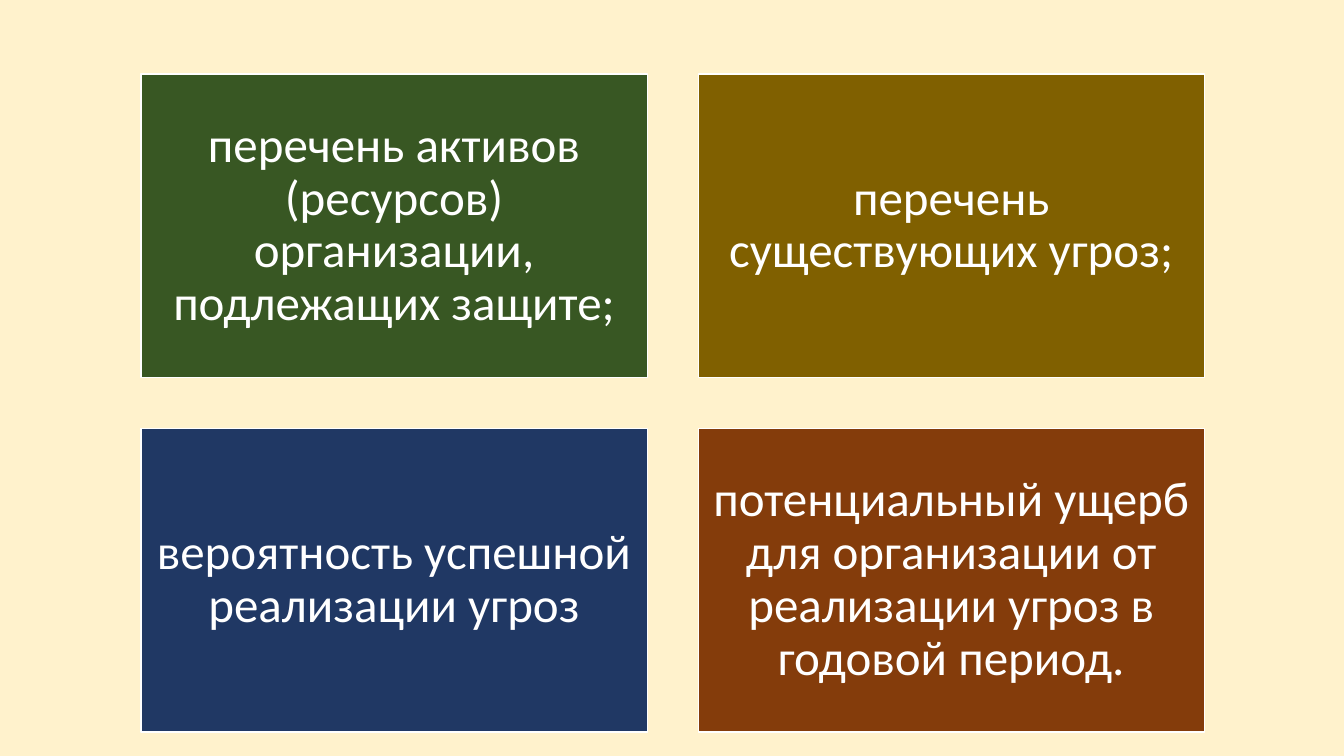
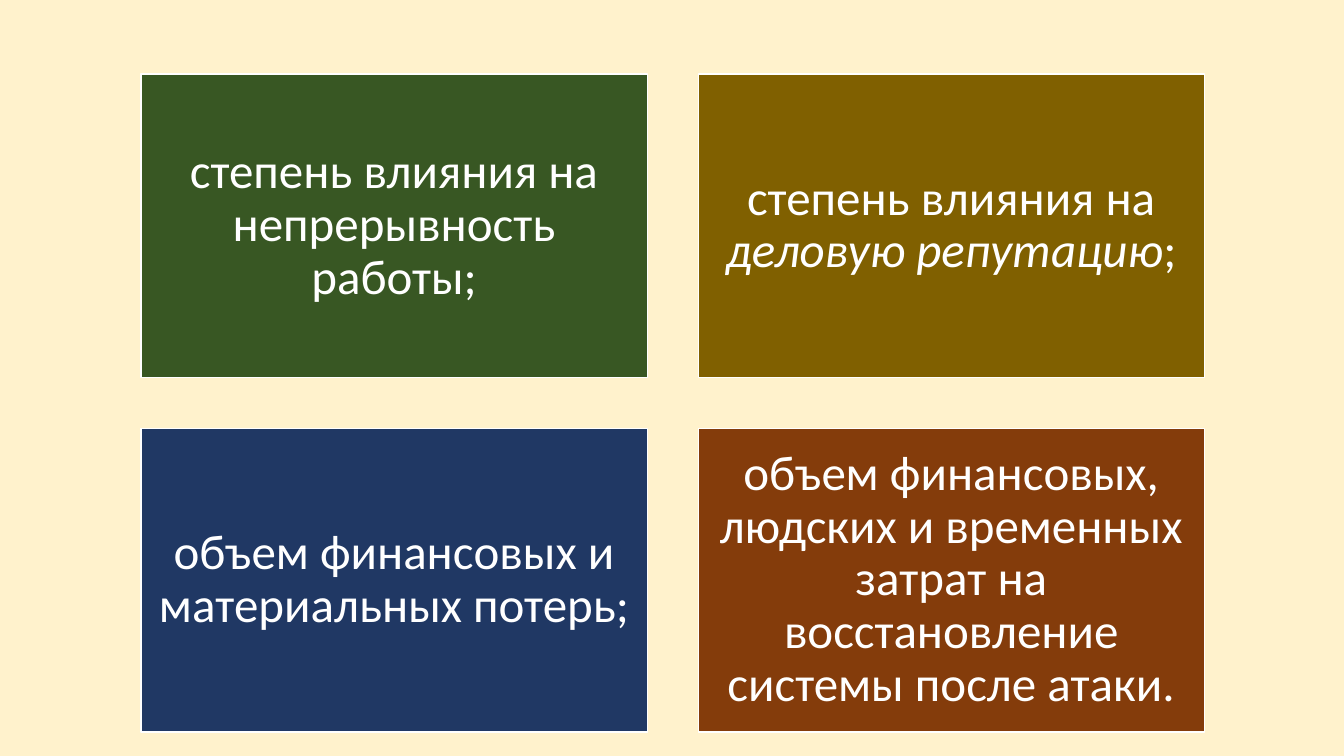
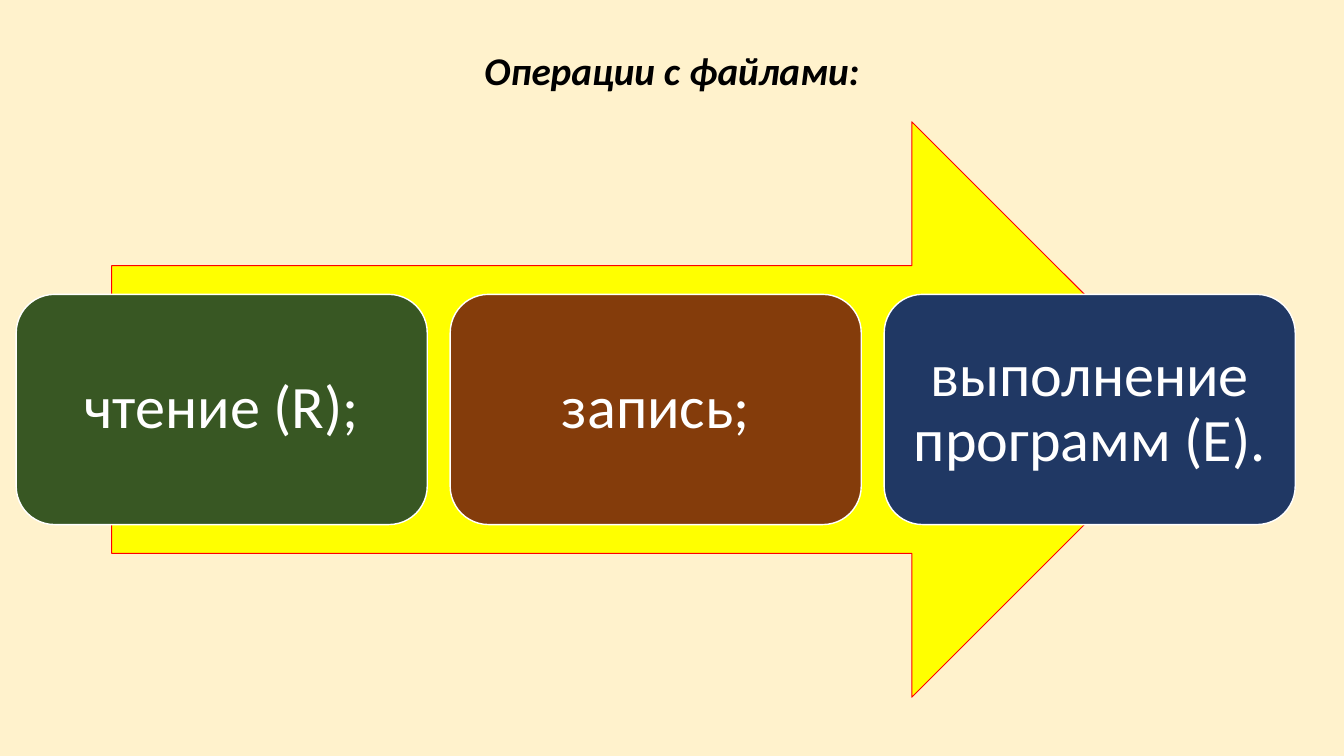
from pptx import Presentation
from pptx.dml.color import RGBColor
from pptx.enum.shapes import MSO_SHAPE
from pptx.enum.text import MSO_ANCHOR, PP_ALIGN
from pptx.util import Pt

RECT = MSO_SHAPE.RECTANGLE
ROUND_RECT = MSO_SHAPE.ROUNDED_RECTANGLE
RIGHT_ARROW = MSO_SHAPE.RIGHT_ARROW
MIDDLE = MSO_ANCHOR.MIDDLE
CENTER = PP_ALIGN.CENTER

CREAM = RGBColor(0xFF, 0xF2, 0xCC)
GREEN = RGBColor(0x38, 0x57, 0x23)
OLIVE = RGBColor(0x80, 0x60, 0x00)
NAVY = RGBColor(0x20, 0x38, 0x64)
BROWN = RGBColor(0x84, 0x3C, 0x0B)
YELLOW = RGBColor(0xFF, 0xFF, 0x00)
RED = RGBColor(0xFF, 0x00, 0x00)
WHITE = RGBColor(0xFF, 0xFF, 0xFF)
BLACK = RGBColor(0x00, 0x00, 0x00)
FONT = "Calibri"

GRID_COLORS = [GREEN, OLIVE, NAVY, BROWN]
GRID_LEFT, GRID_TOP = 100.8, 52.8
GRID_W, GRID_H, GRID_GAP = 361.6, 216.8, 36.4

STEP_LEFT, STEP_TOP = 11.6, 210.3
STEP_W, STEP_H, STEP_GAP = 293.6, 164.4, 16.4

ASSETS = [
    ["перечень активов (ресурсов) организации, подлежащих защите;"],
    ["перечень существующих угроз;"],
    ["вероятность успешной реализации угроз"],
    ["потенциальный ущерб для организации от реализации угроз в годовой период."],
]
# The second part of an entry is set in italics.
DAMAGE = [
    ["степень влияния на непрерывность работы;"],
    ["степень влияния на ", "деловую репутацию", ";"],
    ["объем финансовых и материальных потерь;"],
    ["объем финансовых, людских и временных затрат на восстановление системы после атаки."],
]
OPERATIONS = [
    ("чтение (R);", GREEN),
    ("запись;", BROWN),
    ("выполнение программ (E).", NAVY),
]


def add_slide(prs):
    s = prs.slides.add_slide(prs.slide_layouts[6])
    s.background.fill.solid()
    s.background.fill.fore_color.rgb = CREAM
    return s


def add_filled(s, kind, left, top, width, height, fill, line, line_width):
    sp = s.shapes.add_shape(kind, Pt(left), Pt(top), Pt(width), Pt(height))
    sp.shadow.inherit = False
    sp.fill.solid()
    sp.fill.fore_color.rgb = fill
    sp.line.color.rgb = line
    sp.line.width = Pt(line_width)
    return sp


def write(sp, parts, size, color, inset=None):
    """Write one centred paragraph; the second of its parts is italic."""
    tf = sp.text_frame
    tf.word_wrap = True
    tf.vertical_anchor = MIDDLE
    if inset is not None:
        tf.margin_left = tf.margin_right = Pt(inset)
        tf.margin_top = tf.margin_bottom = Pt(inset)
    p = tf.paragraphs[0]
    p.alignment = CENTER
    p.line_spacing = 0.9
    p.font.name = FONT
    p.font.size = Pt(size)
    p.font.color.rgb = color
    for i, part in enumerate(parts):
        r = p.add_run()
        r.text = part
        if i == 1:
            r.font.italic = True
    return p


def add_title(s, text):
    sp = s.shapes.add_textbox(Pt(66), Pt(0), Pt(828), Pt(104.4))
    p = write(sp, [text], 28, BLACK)
    p.font.bold = True
    p.font.italic = True


def add_grid_slide(prs, entries):
    s = add_slide(prs)
    for i, (parts, color) in enumerate(zip(entries, GRID_COLORS)):
        row, col = divmod(i, 2)
        sp = add_filled(s, RECT,
                        GRID_LEFT + col * (GRID_W + GRID_GAP),
                        GRID_TOP + row * (GRID_H + GRID_GAP),
                        GRID_W, GRID_H, color, WHITE, 1)
        write(sp, parts, 35, WHITE, 10.5)


def add_operations_slide(prs):
    s = add_slide(prs)
    add_title(s, "Операции с файлами:")
    add_filled(s, RIGHT_ARROW, 79.8, 87, 777, 411, YELLOW, RED, 0.75)
    for i, (text, color) in enumerate(OPERATIONS):
        sp = add_filled(s, ROUND_RECT, STEP_LEFT + i * (STEP_W + STEP_GAP),
                        STEP_TOP, STEP_W, STEP_H, color, WHITE, 1)
        write(sp, [text], 43, WHITE, 12.9)


def main():
    prs = Presentation()
    prs.slide_width, prs.slide_height = Pt(960), Pt(540)
    add_grid_slide(prs, ASSETS)
    add_grid_slide(prs, DAMAGE)
    add_operations_slide(prs)
    prs.save("out.pptx")


if __name__ == "__main__":
    main()
